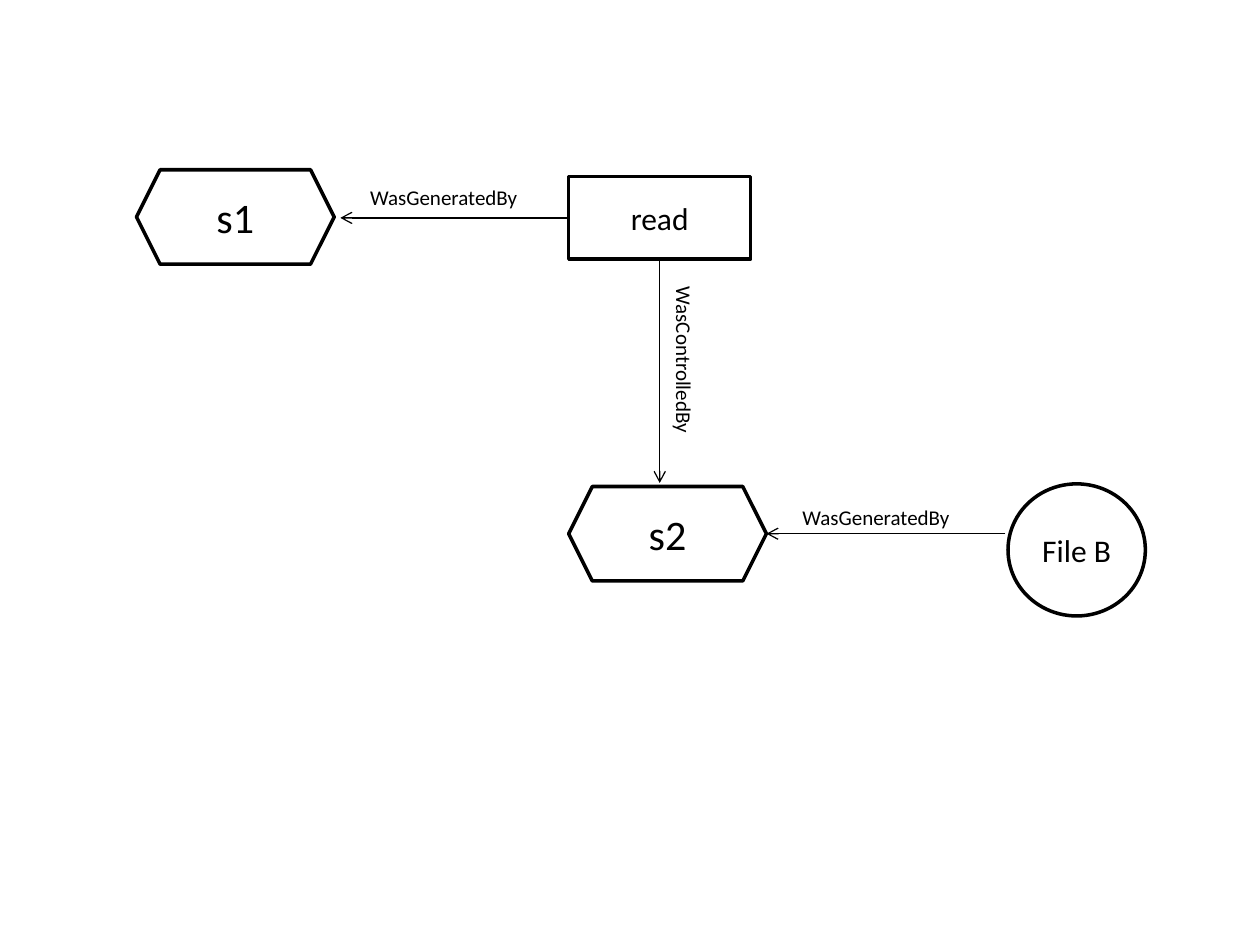
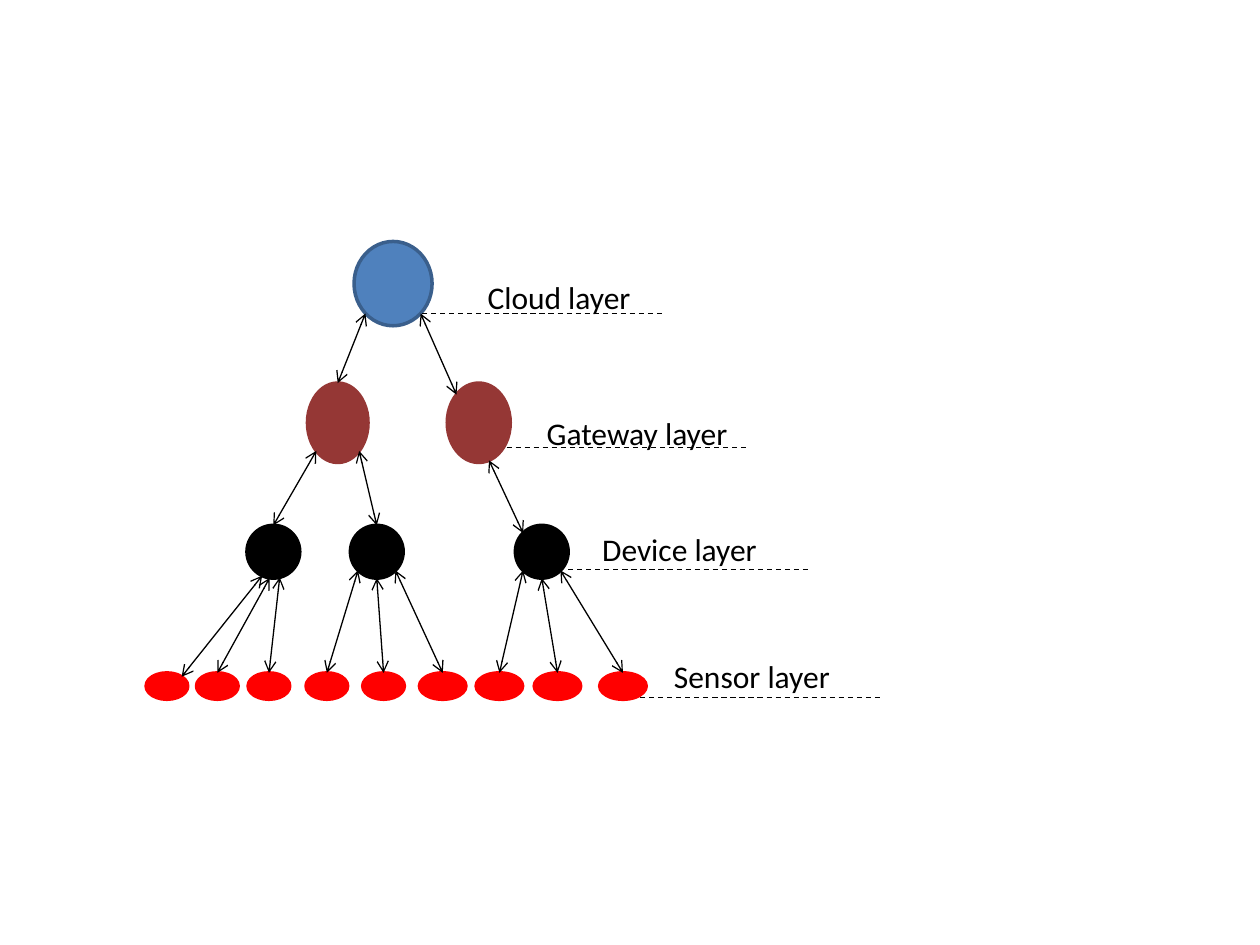
from collections import namedtuple
from dataclasses import dataclass
from math import cos, radians, sin

from lxml import etree
from pptx import Presentation
from pptx import util as u
from pptx.dml.color import RGBColor
from pptx.enum import dml, shapes, text
from pptx.oxml import ns

Pt = u.Pt
SHAPE = shapes.MSO_SHAPE
Box = namedtuple("Box", "x y w h")


@dataclass(frozen=True)
class Theme:
    font: str = "Calibri"
    ink: str = "000000"
    paper: str = "FFFFFF"
    cloud: str = "4F81BD"
    cloud_edge: str = "3A5F8C"
    gateway: str = "953735"
    sensor: str = "FF0000"
    small: float = 12
    body: float = 18
    large: float = 24
    outline: float = 2
    thin: float = 0.75


T = Theme()


def rgb(value):
    return RGBColor.from_string(value)


# Shared parts
def add_run(p, words, size):
    r = p.add_run()
    r.text = words
    r.font.name, r.font.size = T.font, Pt(size)
    r.font.color.rgb = rgb(T.ink)


def add_node(group, kind, box, fill, edge, words="", size=T.body):
    sp = group.add_shape(kind, *map(Pt, box))
    sp.shadow.inherit = False
    sp.fill.solid()
    sp.fill.fore_color.rgb = rgb(fill)
    sp.line.color.rgb = rgb(edge)
    sp.line.width = Pt(T.outline)
    if words:
        tf = sp.text_frame
        tf.vertical_anchor = text.MSO_ANCHOR.MIDDLE
        p = tf.paragraphs[0]
        p.alignment = text.PP_ALIGN.CENTER
        add_run(p, words, size)


def add_label(group, box, words, size, rotation=0):
    sp = group.add_textbox(*map(Pt, box))
    sp.rotation = rotation
    tf = sp.text_frame
    tf.word_wrap = True
    tf.auto_size = text.MSO_AUTO_SIZE.SHAPE_TO_FIT_TEXT
    add_run(tf.paragraphs[0], words, size)


def add_line(group, start, end, arrows=(), dashed=False):
    sp = group.add_connector(shapes.MSO_CONNECTOR.STRAIGHT,
                             *map(Pt, (*start, *end)))
    sp.line.color.rgb = rgb(T.ink)
    sp.line.width = Pt(T.thin)
    if dashed:
        sp.line.dash_style = dml.MSO_LINE.DASH
    ln = sp.line._get_or_add_ln()
    for tag in arrows:
        etree.SubElement(ln, ns.qn(f"a:{tag}"), type="arrow")
    etree.SubElement(sp._element.spPr, ns.qn("a:effectLst"))


def rim(box, angle):
    """Point on an ellipse, in degrees clockwise from its right side."""
    a = radians(angle)
    return (box.x + box.w / 2 * (1 + cos(a)),
            box.y + box.h / 2 * (1 + sin(a)))


# Slide 1: provenance graph
def provenance_graph(s, x, y):
    group = s.shapes.add_group_shape().shapes
    s1 = Box(x, y, 113, 54)
    read = Box(x + 247, y + 4, 104, 47)
    s2 = Box(read.x, y + 181, s1.w, s1.h)
    file_b = Box(x + 498, y + 179.5, 78.5, 75.5)

    # Relations
    read_y, s2_y = read.y + read.h / 2, s2.y + s2.h / 2
    read_mid = read.x + read.w / 2
    for start, end in (
            ((read.x, read_y), (s1.x + s1.w + 3.5, read_y)),
            ((read_mid, read.y + read.h), (read_mid, s2.y - 2)),
            ((file_b.x - 1.5, s2_y), (s2.x + s2.w, s2_y))):
        add_line(group, start, end, ["tailEnd"])

    # Nodes
    for kind, box, words, size in (
            (SHAPE.HEXAGON, s1, "s1", T.large),
            (SHAPE.HEXAGON, s2, "s2", T.large),
            (SHAPE.RECTANGLE, read, "read", T.body),
            (SHAPE.OVAL, file_b, "File B", T.body)):
        add_node(group, kind, box, T.paper, T.ink, words, size)

    # Relation names
    for dx, dy in ((126.5, 5), (373.5, 188)):
        add_label(group, (x + dx, y + dy, 124.5, 21.6),
                  "WasGeneratedBy", T.small)
    add_label(group, (x + 257, y + 101.5, 108.7, 25.2),
              "WasControlledBy", T.small, 90)


# Slide 2: tree of layers
def layer_tree(s, x, y):
    group = s.shapes.add_group_shape().shapes

    def row(top, height, *spans):
        return [Box(x + left, y + top, w, height) for left, w in spans]

    cloud, = row(0, 48.2, (118.8, 44.6))
    gateways = row(80.9, 45.4, (92.2, 34.6), (172.1, 36))
    devices = row(162.2, 30.2, *((left, 30.2) for left in (57.6, 116.7, 211)))
    sensors = row(246.5, 15.1,
                  *((left, 23.8) for left in (0, 28.8, 58.3, 91.4, 123.8)),
                  *((left, 26.6) for left in (156.2, 188.6, 221.8, 259.2)))

    # Nodes
    for boxes, fill, edge in (([cloud], T.cloud, T.cloud_edge),
                              (gateways, T.gateway, T.gateway),
                              (devices, T.ink, T.ink),
                              (sensors, T.sensor, T.sensor)):
        for box in boxes:
            add_node(group, SHAPE.FLOWCHART_CONNECTOR, box, fill, edge)

    # Links: parent, angle at parent, child, angle at child
    links = [(cloud, 135, gateways[0], 270),
             (cloud, 45, gateways[1], 225),
             (gateways[0], 135, devices[0], 270),
             (gateways[0], 45, devices[1], 270),
             (gateways[1], 71, devices[2], 225)]
    fans = ((115, 98, 76), (135, 90, 45), (135, 90, 45))
    for i, (device, fan) in enumerate(zip(devices, fans)):
        for j, angle in enumerate(fan):
            top = 315 if i == j == 0 else 270
            links.append((device, angle, sensors[3 * i + j], top))
    for parent, out, child, into in links:
        add_line(group, rim(parent, out), rim(child, into),
                 ["headEnd", "tailEnd"])

    # Layer names over dashed rules
    for name, rule_x, rule_y, label_x, label_y in (
            ("Cloud", 157.7, 41.2, 188, 17.5),
            ("Gateway", 206, 117.6, 221.8, 95.2),
            ("Device", 241.2, 187.4, 253.5, 161.5),
            ("Sensor", 282.3, 260.4, 294.5, 234.2)):
        add_label(group, (x + label_x, y + label_y, 145.4, 28.8),
                  f"{name} layer", T.body)
        add_line(group, (x + rule_x, y + rule_y),
                 (x + rule_x + 137, y + rule_y), dashed=True)


prs = Presentation()
prs.slide_width, prs.slide_height = Pt(720), Pt(540)
for draw, left, top in ((provenance_graph, 78, 97), (layer_tree, 83.5, 138)):
    draw(prs.slides.add_slide(prs.slide_layouts[6]), left, top)
prs.save("out.pptx")
